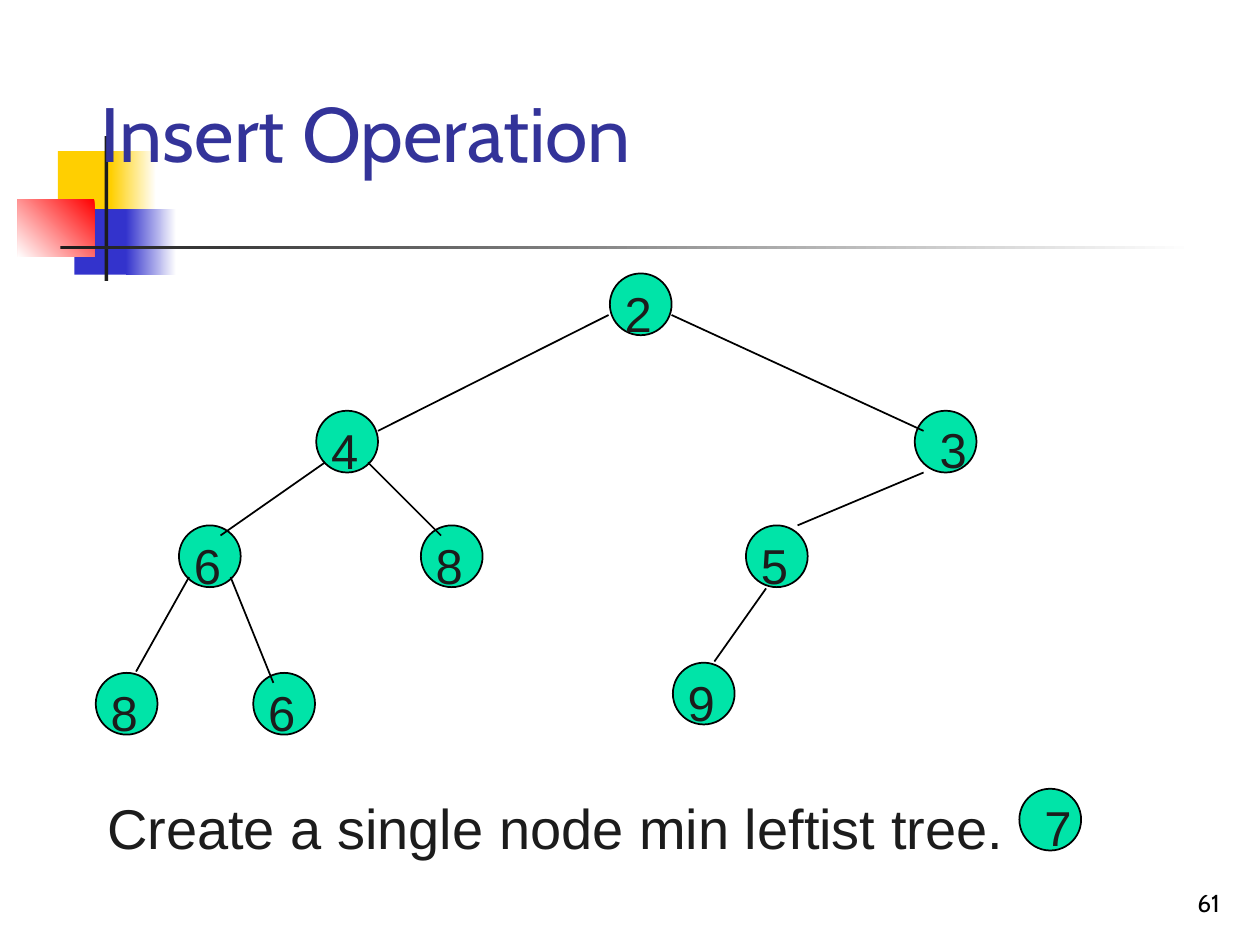
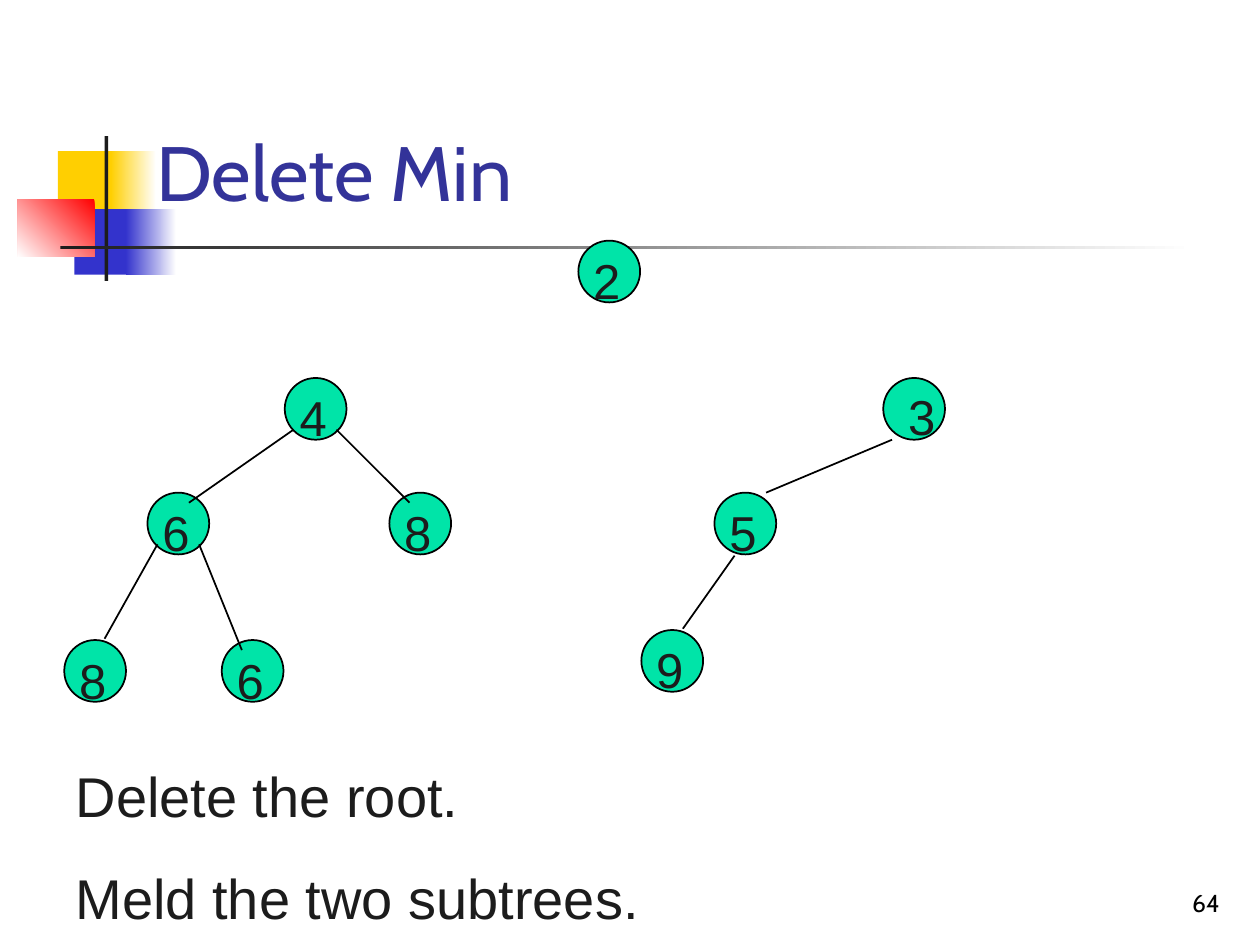
from lxml.etree import SubElement
from pptx import Presentation
from pptx.dml.color import RGBColor
from pptx.enum.shapes import MSO_CONNECTOR, MSO_SHAPE
from pptx.enum.text import MSO_ANCHOR, MSO_AUTO_SIZE, PP_ALIGN
from pptx.oxml.ns import qn
from pptx.util import Inches, Pt

WHITE, BLACK, INK = "FFFFFF", "000000", "1C1C1C"
YELLOW, BLUE, RED = "FFCF01", "3333CC", "FF0000"
TITLE_COLOUR, NODE_COLOUR = "333399", "00E4A8"
TITLE_FONT, BODY_FONT = "Cabin", "Arial"
NODE_SIZE = 0.49
CENTRED_LABEL, SHIFTED_LABEL = (0.02, 0.03), (0.1, 0.02)

# Key, left and top of each tree node, then the offset of its label
ROOT = ("2", 4.84, 2.17, CENTRED_LABEL)
SUBTREE_NODES = [
    ("4", 2.51, 3.26, CENTRED_LABEL),
    ("3", 7.26, 3.26, SHIFTED_LABEL),
    ("6", 1.42, 4.17, CENTRED_LABEL),
    ("8", 3.34, 4.17, CENTRED_LABEL),
    ("5", 5.92, 4.17, CENTRED_LABEL),
    ("8", 0.76, 5.34, CENTRED_LABEL),
    ("6", 2.01, 5.34, CENTRED_LABEL),
    ("9", 5.34, 5.26, CENTRED_LABEL),
]
NEW_NODE = ("7", 8.09, 6.26, SHIFTED_LABEL)

# Start x, start y, end x, end y
ROOT_EDGES = [(4.83, 2.5, 3, 3.42), (5.33, 2.5, 7.33, 3.42)]
SUBTREE_EDGES = [
    (2.58, 3.67, 1.75, 4.25),
    (2.92, 3.67, 3.5, 4.25),
    (7.33, 3.75, 6.33, 4.17),
    (1.5, 4.58, 1.08, 5.33),
    (1.83, 4.58, 2.17, 5.42),
    (6.08, 4.67, 5.67, 5.25),
]

# Left, top, width, height, colours (two make a gradient), gradient angle
DECORATION = [
    (0.46, 1.2, 0.48, 0.52, [YELLOW], 0),
    (0.88, 1.2, 0.36, 0.52, [YELLOW, WHITE], 0),
    (0.59, 1.66, 0.46, 0.52, [BLUE], 0),
    (1, 1.66, 0.4, 0.52, [BLUE, WHITE], 0),
    (0.14, 1.58, 0.61, 0.46, [RED, WHITE], 225),
    (0.83, 1.08, 0.03, 1.15, [INK], 0),
    (0.48, 1.95, 9, 0.03, [INK, WHITE], 0),
]


def colour(hex_code):
    return RGBColor.from_string(hex_code)


def place(shape, left, top, width, height):
    shape.left, shape.top = Inches(left), Inches(top)
    shape.width, shape.height = Inches(width), Inches(height)


def write(frame, lines, font, size, hex_code, align=PP_ALIGN.LEFT,
          anchor=MSO_ANCHOR.TOP, wrap=True, gap=0):
    """Fill a text frame with unbulleted paragraphs, gap points apart."""
    frame.auto_size = MSO_AUTO_SIZE.NONE
    frame.word_wrap = wrap
    frame.vertical_anchor = anchor
    for index, line in enumerate(lines):
        para = frame.add_paragraph() if index else frame.paragraphs[0]
        para.text = line
        para.alignment = align
        para.space_before = Pt(gap if index else 0)
        properties = para._p.get_or_add_pPr()
        properties.set("marL", "0")
        properties.set("indent", "0")
        SubElement(properties, qn("a:buNone"))
        para.font.name, para.font.size = font, Pt(size)
        para.font.color.rgb = colour(hex_code)


def add_text(page, text, left, top, width, height, **text_format):
    box = page.shapes.add_textbox(
        Inches(left), Inches(top), Inches(width), Inches(height))
    write(box.text_frame, [text], **text_format)


def add_block(page, left, top, width, height, colours, angle):
    block = page.shapes.add_shape(
        MSO_SHAPE.RECTANGLE, Inches(left), Inches(top),
        Inches(width), Inches(height))
    block.shadow.inherit = False
    block.line.fill.background()
    if len(colours) == 1:
        block.fill.solid()
        block.fill.fore_color.rgb = colour(colours[0])
    else:
        block.fill.gradient()
        block.fill.gradient_angle = angle
        for stop, hex_code in zip(block.fill.gradient_stops, colours):
            stop.color.rgb = colour(hex_code)
    return block


def decorate_layout(layout, page):
    """Draw the blocks on the page, then move them to the back of its layout."""
    for index, details in enumerate(DECORATION):
        block = add_block(page, *details).element
        block.nvSpPr.cNvPr.set("id", str(100 + index))
        layout.shapes.element.insert(2 + index, block)


def add_node(page, left, top):
    node = page.shapes.add_shape(
        MSO_SHAPE.OVAL, Inches(left), Inches(top),
        Inches(NODE_SIZE), Inches(NODE_SIZE))
    node.shadow.inherit = False
    node.fill.solid()
    node.fill.fore_color.rgb = colour(NODE_COLOUR)
    node.line.color.rgb = colour(BLACK)
    node.line.width = Pt(1)


def add_edge(page, *ends):
    edge = page.shapes.add_connector(
        MSO_CONNECTOR.STRAIGHT, *[Inches(end) for end in ends])
    edge.line.color.rgb = colour(BLACK)
    edge.line.width = Pt(1)
    SubElement(edge.element.spPr, qn("a:effectLst"))


def add_tree(page, nodes, edges, shift=(0, 0)):
    right, down = shift
    for _, left, top, _ in nodes:
        add_node(page, left + right, top + down)
    for x1, y1, x2, y2 in edges:
        add_edge(page, x1 + right, y1 + down, x2 + right, y2 + down)
    for key, left, top, (label_right, label_down) in nodes:
        add_text(page, key, left + right + label_right,
                 top + down + label_down, 0.42, 0.57,
                 font=BODY_FONT, size=28, hex_code=INK, wrap=False)


def fill_page(page, title, title_place, steps, steps_place, number):
    heading, body = page.shapes.title, page.placeholders[1]
    place(heading, *title_place)
    write(heading.text_frame, [title], TITLE_FONT, 44, TITLE_COLOUR)
    place(body, *steps_place)
    write(body.text_frame, steps, BODY_FONT, 32, INK, gap=20)
    add_text(page, number, 7.7, 6.83, 2.08, 0.5, font=TITLE_FONT, size=14,
             hex_code=BLACK, align=PP_ALIGN.RIGHT, anchor=MSO_ANCHOR.BOTTOM)


def main():
    deck = Presentation()
    deck.slide_width, deck.slide_height = Inches(10), Inches(7.5)
    layout = deck.slide_layouts[1]

    insert_page = deck.slides.add_slide(layout)
    decorate_layout(layout, insert_page)
    fill_page(insert_page, "Insert Operation", (0.7, 0.63, 8.5, 1.25),
              ["Create a single node min leftist tree."],
              (0.75, 6.25, 8.33, 0.63), "61")
    add_tree(insert_page, [ROOT, *SUBTREE_NODES], ROOT_EDGES + SUBTREE_EDGES)
    add_tree(insert_page, [NEW_NODE], [])

    delete_page = deck.slides.add_slide(layout)
    fill_page(delete_page, "Delete Min", (1.14, 0.94, 7.1, 1.25),
              ["Delete the root.", "Meld the two subtrees."],
              (0.5, 5.99, 7.92, 1.45), "64")
    add_tree(delete_page, [ROOT, *SUBTREE_NODES], SUBTREE_EDGES,
             shift=(-0.25, -0.26))

    deck.save("out.pptx")


if __name__ == "__main__":
    main()
